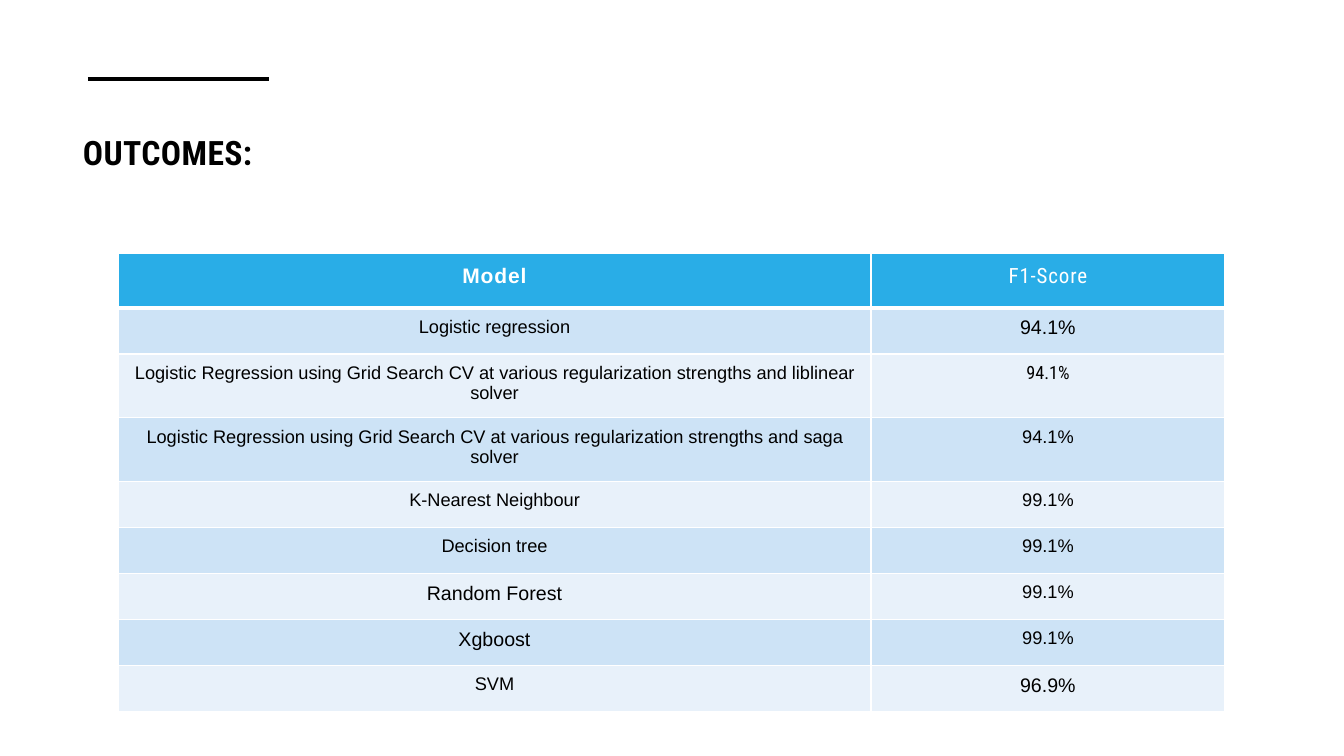
import lxml.etree
import pptx
import pptx.dml.color
import pptx.enum.shapes
import pptx.enum.text
import pptx.oxml.ns
import pptx.util

COLORS = {
    "white": "FFFFFF",
    "black": "000000",
    "header": "29ADE7",
    "band_dark": "CDE3F6",
    "band_light": "E8F1FA",
}
BODY_FONT = "Arial"
HEADING_FONT = "Roboto Condensed"
GRID_SEARCH = "Logistic Regression using Grid Search CV at various regularization strengths and"
HEADER = [
    ("Model", {"bold": True}),
    ("F1-Score", {"font": HEADING_FONT}),
]
SCORES = [
    ("Logistic regression", {}, "94.1%", {"size": 14}),
    (f"{GRID_SEARCH} liblinear solver", {}, "94.1%", {"font": HEADING_FONT}),
    (f"{GRID_SEARCH} saga solver", {}, "94.1%", {}),
    ("K-Nearest Neighbour", {}, "99.1%", {}),
    ("Decision tree", {}, "99.1%", {}),
    ("Random Forest", {"size": 14}, "99.1%", {}),
    ("Xgboost", {"size": 14}, "99.1%", {}),
    ("SVM", {}, "96.9%", {"size": 14}),
]


def px(length):
    return pptx.util.Emu(round(length * 914400 / 100.8))


def rgb(name):
    return pptx.dml.color.RGBColor.from_string(COLORS[name])


def write_text(frame, text, font=BODY_FONT, size=13, color="black", bold=False,
               spacing=0, align=pptx.enum.text.PP_ALIGN.CENTER):
    paragraph = frame.paragraphs[0]
    paragraph.alignment = align
    run = paragraph.add_run()
    run.text = text
    run.font.name = font
    run.font.size = pptx.util.Pt(size)
    run.font.bold = bold
    run.font.color.rgb = rgb(color)
    run._r.get_or_add_rPr().set("spc", str(round(spacing * 100)))


class OutcomesSlide:
    """Hold the style and the current slide, and draw its elements."""

    def __init__(self, presentation):
        self.slide = presentation.slides.add_slide(presentation.slide_layouts[6])

    def rule(self, left, top, width):
        connector = self.slide.shapes.add_connector(
            pptx.enum.shapes.MSO_CONNECTOR.STRAIGHT,
            px(left), px(top), px(left + width), px(top))
        connector.line.color.rgb = rgb("black")
        connector.line.width = pptx.util.Pt(3.5)
        lxml.etree.SubElement(connector._element.spPr, pptx.oxml.ns.qn("a:effectLst"))

    def title(self, text, left, top, width, height):
        box = self.slide.shapes.add_textbox(px(left), px(top), px(width), px(height))
        box.text_frame.word_wrap = True
        write_text(box.text_frame, text, font=HEADING_FONT, size=24, bold=True,
                   spacing=0.3, align=pptx.enum.text.PP_ALIGN.LEFT)

    def borders(self, cell, top=1, bottom=1):
        properties = cell._tc.get_or_add_tcPr()
        for side, width in (("L", 1), ("R", 1), ("T", top), ("B", bottom)):
            line = lxml.etree.SubElement(
                properties, pptx.oxml.ns.qn(f"a:ln{side}"), w=str(pptx.util.Pt(width)))
            fill = lxml.etree.SubElement(line, pptx.oxml.ns.qn("a:solidFill"))
            lxml.etree.SubElement(fill, pptx.oxml.ns.qn("a:srgbClr"), val=COLORS["white"])

    def cell(self, cell, text, fill, margin, top=1, bottom=1, **text_format):
        self.borders(cell, top, bottom)
        cell.fill.solid()
        cell.fill.fore_color.rgb = rgb(fill)
        cell.margin_left = cell.margin_right = cell.margin_bottom = px(margin)
        cell.margin_top = px(9)
        write_text(cell.text_frame, text, **text_format)

    def score_table(self, left, top, widths, header_height, row_height):
        height = header_height + row_height * len(SCORES)
        table = self.slide.shapes.add_table(
            len(SCORES) + 1, len(widths), px(left), px(top),
            px(sum(widths)), px(height)).table
        for column, width in zip(table.columns, widths):
            column.width = px(width)
        for index, row in enumerate(table.rows):
            row.height = px(row_height if index else header_height)
        for column, (text, text_format) in enumerate(HEADER):
            cell = table.cell(0, column)
            cell.vertical_anchor = pptx.enum.text.MSO_ANCHOR.MIDDLE
            self.cell(cell, text, "header", 17, bottom=3,
                      size=15, color="white", spacing=0.6, **text_format)
        for row, (model, model_format, score, score_format) in enumerate(SCORES, 1):
            fill = "band_dark" if row % 2 else "band_light"
            top_border = 3 if row == 1 else 1
            self.cell(table.cell(row, 0), model, fill, 11, top_border, **model_format)
            self.cell(table.cell(row, 1), score, fill, 11, top_border, **score_format)


def main():
    presentation = pptx.Presentation()
    presentation.slide_width = px(1344)
    presentation.slide_height = px(756)
    outcomes = OutcomesSlide(presentation)
    outcomes.title("OUTCOMES:", 73, 127, 1199, 78)
    outcomes.rule(88, 79, 181)
    outcomes.score_table(118, 253, (753, 354), 55, 46)
    presentation.save("out.pptx")


if __name__ == "__main__":
    main()
